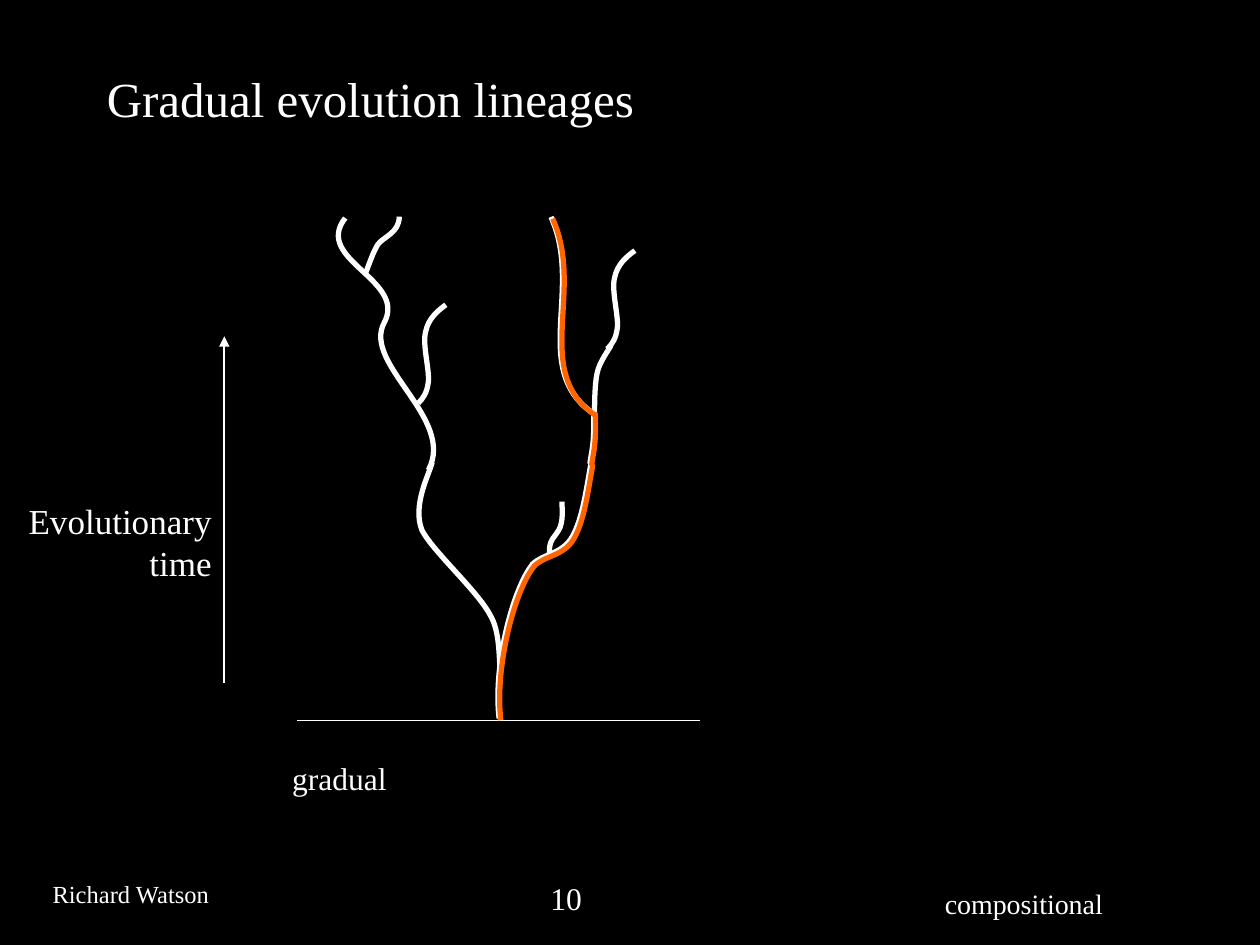
import pptx
import pptx.util
import pptx.dml.color
import pptx.enum.shapes
import pptx.enum.text
import pptx.oxml
import pptx.oxml.ns

Pt = pptx.util.Pt
ALIGN = pptx.enum.text.PP_ALIGN
ANCHOR = pptx.enum.text.MSO_ANCHOR
AUTO = pptx.enum.text.MSO_AUTO_SIZE
qn = pptx.oxml.ns.qn

BLACK = pptx.dml.color.RGBColor(0x00, 0x00, 0x00)
WHITE = pptx.dml.color.RGBColor(0xFF, 0xFF, 0xFF)
ORANGE = pptx.dml.color.RGBColor(0xFF, 0x66, 0x00)
FONT = "Times New Roman"


def add_curve(shapes, points, color, dx=0, dy=0):
    """Draw an open Bézier curve: a start, then three points per segment."""
    pts = [(Pt(x + dx), Pt(y + dy)) for x, y in points]
    fb = shapes.build_freeform(*pts[0])
    fb.add_line_segments(pts[1:], close=False)
    sp = fb.convert_to_shape()
    sp.shadow.inherit = False
    sp.fill.background()
    sp.line.color.rgb = color
    sp.line.width = Pt(3)
    # Turn each three straight segments into one cubic segment
    segments = list(sp._element.iter(qn("a:lnTo")))
    for i in range(0, len(segments), 3):
        cubic = pptx.oxml.parse_xml(
            f'<a:cubicBezTo {pptx.oxml.ns.nsdecls("a")}/>')
        segments[i].addprevious(cubic)
        for segment in segments[i:i + 3]:
            cubic.append(segment[0])
            segment.getparent().remove(segment)


def add_line(shapes, x1, y1, x2, y2, width):
    """Draw a white straight line without a shadow."""
    line = shapes.add_connector(pptx.enum.shapes.MSO_CONNECTOR.STRAIGHT,
                                Pt(x1), Pt(y1), Pt(x2), Pt(y2))
    line.line.color.rgb = WHITE
    line.line.width = Pt(width)
    line._element.spPr.append(pptx.oxml.parse_xml(
        f'<a:effectLst {pptx.oxml.ns.nsdecls("a")}/>'))
    return line


prs = pptx.Presentation()
prs.slide_width, prs.slide_height = Pt(720), Pt(540)
slide = prs.slides.add_slide(prs.slide_layouts[6])
slide.background.fill.solid()
slide.background.fill.fore_color.rgb = BLACK

# Footer, title and labels: text, box, size, alignment, anchor, insets, autosize
INSET, FLUSH = (7.2, 3.6), (0, 0)
GROW, FIXED = AUTO.SHAPE_TO_FIT_TEXT, AUTO.NONE
texts = [
    ("compositional", (532.8, 503.3, 203.8, 26), 16, ALIGN.LEFT, ANCHOR.TOP, INSET, GROW),
    ("Richard Watson", (23, 499, 105.1, 24.5), 14, ALIGN.LEFT, ANCHOR.TOP, INSET, GROW),
    ("10", (307.4, 499, 89.3, 28.8), 18, ALIGN.LEFT, ANCHOR.TOP, INSET, GROW),
    ("Gradual evolution lineages", (54, 29.5, 612, 52.6), 28, ALIGN.LEFT, ANCHOR.MIDDLE, INSET, FIXED),
    ("Evolutionary time", (3.6, 265, 117.4, 88.6), 20, ALIGN.RIGHT, ANCHOR.MIDDLE, FLUSH, FIXED),
    ("gradual", (167, 431.3, 154.8, 26.6), 18, ALIGN.LEFT, ANCHOR.MIDDLE, FLUSH, FIXED),
]
for text, box, size, align, anchor, (inset_x, inset_y), auto in texts:
    tf = slide.shapes.add_textbox(*map(Pt, box)).text_frame
    tf.word_wrap = True
    tf.auto_size = auto
    tf.vertical_anchor = anchor
    tf.margin_left = tf.margin_right = Pt(inset_x)
    tf.margin_top = tf.margin_bottom = Pt(inset_y)
    p = tf.paragraphs[0]
    p.text = text
    p.alignment = align
    p.font.name = FONT
    p.font.size = Pt(size)
    p.font.color.rgb = WHITE

# Ground line and time arrow
add_line(slide.shapes, 169.9, 411.8, 400.3, 411.8, 0.75)
arrow = add_line(slide.shapes, 128.2, 390.2, 128.2, 192.2, 1)
arrow.line._get_or_add_ln().append(pptx.oxml.parse_xml(
    f'<a:tailEnd {pptx.oxml.ns.nsdecls("a")} type="triangle"/>'))

# White branches
branches = [
    # left trunk
    [(285.8, 381.6), (285.1, 376.6), (285.8, 360.7), (280.1, 351.4),
     (272.9, 337.7), (247.7, 315.4), (241.2, 303.1),
     (235.4, 288.7), (245.5, 270.7), (247, 264.2)],
    # top left twig
    [(208.8, 156.2), (210.2, 153.4), (213.1, 144), (216, 139.7),
     (218.9, 135.4), (228.2, 133.2), (228.2, 123.8)],
    # upper left stem
    [(244.8, 268.6), (260.6, 239), (206.6, 208.1), (219.6, 184.3),
     (232.6, 159.8), (178.6, 148.3), (197.3, 124.6)],
    # short inner twig
    [(313.9, 316.8), (313.9, 314.6), (313.9, 312.5), (314.6, 310.3),
     (315.4, 307.4), (319.7, 303.8), (320.4, 300.2),
     (321.8, 295.9), (321.1, 289.4), (321.1, 286.6)],
    # right stem
    [(339.8, 235.4), (339.8, 231.8), (339.8, 219.6), (341.3, 213.1),
     (342.7, 206.6), (347.8, 200.2), (349.2, 197.3)],
]
for branch in branches:
    add_curve(slide.shapes, branch, WHITE)

# The same hooked twig on the right and the left
hook = [(0, 0), (2.9, -2.9), (5, -5.8), (5.8, -12.2),
        (6.5, -19.4), (2.2, -33.8), (4.3, -41),
        (5.8, -48.2), (10.8, -52.6), (15.8, -56.2)]
for x, y in [(347, 199.4), (239, 230.4)]:
    add_curve(slide.shapes, hook, WHITE, x, y)

# Highlighted lineage: orange, white edge, orange, each slightly shifted
lineage = [
    [(285.8, 411.1), (282.2, 380.9), (293.8, 336.2), (305.3, 322.6)],
    [(304.6, 323.3), (311, 316.8), (321.8, 317.5), (327.6, 307.4),
     (333.4, 297.4), (335.5, 281.5), (338.4, 265)],
    [(339.8, 236.9), (303.1, 212.4), (334.1, 165.6), (315.4, 124.6)],
    [(337.7, 265.7), (338.4, 259.2), (340.6, 254.2), (339.8, 235.4)],
]
for color, shift in [(ORANGE, 0), (WHITE, -0.6), (ORANGE, 0.4)]:
    group = slide.shapes.add_group_shape()
    for part in lineage:
        add_curve(group.shapes, part, color, shift, shift)

prs.save("out.pptx")
